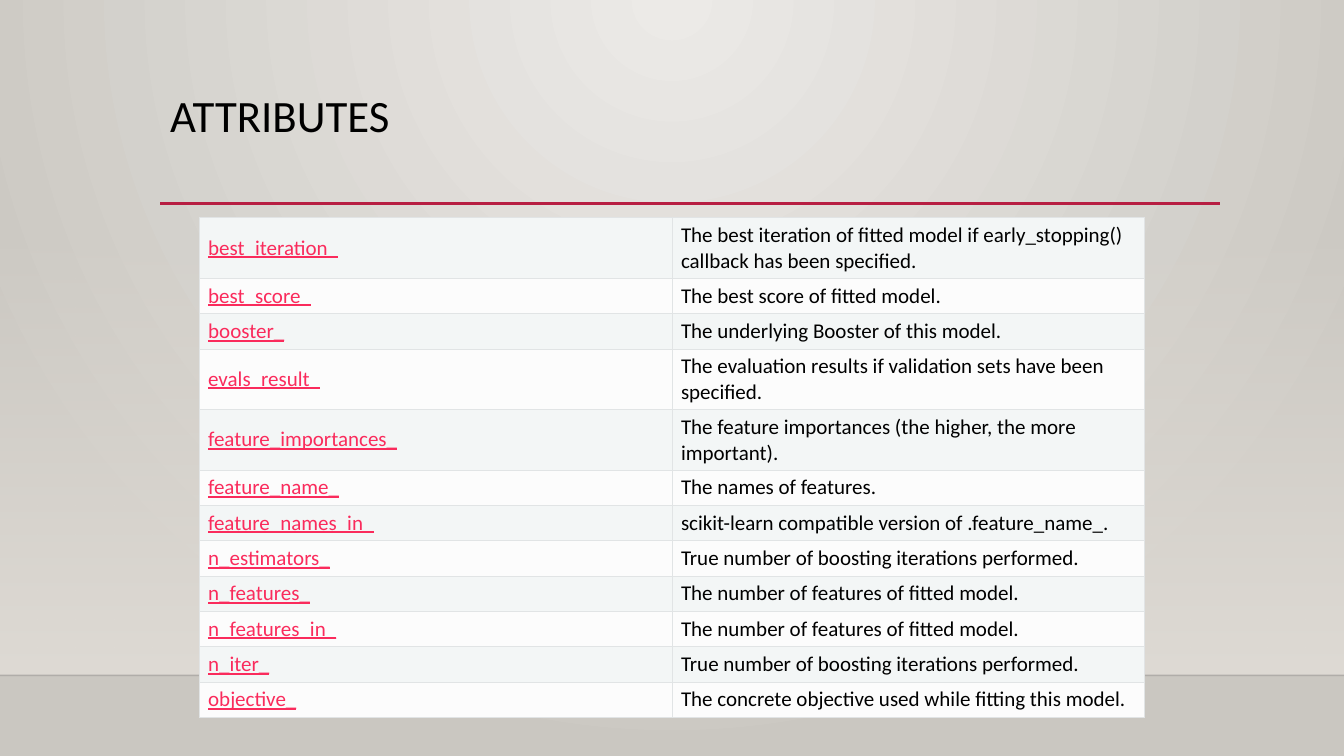
from lxml.etree import SubElement
from pptx import Presentation
from pptx.dml.color import RGBColor
from pptx.enum.shapes import MSO_CONNECTOR, MSO_SHAPE
from pptx.enum.text import MSO_ANCHOR
from pptx.oxml import parse_xml
from pptx.oxml.ns import nsdecls, qn
from pptx.util import Inches, Pt

TITLE = "ATTRIBUTES"
ATTRIBUTES = [
    ("best_iteration_", "The best iteration of fitted model if early_stopping() callback has been specified."),
    ("best_score_", "The best score of fitted model."),
    ("booster_", "The underlying Booster of this model."),
    ("evals_result_", "The evaluation results if validation sets have been specified."),
    ("feature_importances_", "The feature importances (the higher, the more important)."),
    ("feature_name_", "The names of features."),
    ("feature_names_in_", "scikit-learn compatible version of .feature_name_."),
    ("n_estimators_", "True number of boosting iterations performed."),
    ("n_features_", "The number of features of fitted model."),
    ("n_features_in_", "The number of features of fitted model."),
    ("n_iter_", "True number of boosting iterations performed."),
    ("objective_", "The concrete objective used while fitting this model."),
]
COLORS = {
    "glow": "ECEAE7", "edge": "CAC7C1", "wall": "DFDBD5", "floor line": "000001",
    "accent": "B71E42", "link": "FA2B5C", "text": "000000",
    "odd row": "F3F6F6", "even row": "FCFCFC", "border": "E1E4E5",
}
FONT = "Calibri"
WIDTH, HEIGHT = 13.33, 7.5
WALL_TOP, FLOOR = 2.21, 6.7
MARGIN, TITLE_TOP, TITLE_WIDTH, TITLE_HEIGHT = 1.59, 0.88, 10.5, 1.15
RULE_Y, RULE_END = 2.02, 12.1
TABLE_TOP, COLUMN_WIDTH = 2.16, 4.69
LINE_ROW, TWO_LINE_ROW, CHARS_PER_LINE = 0.34, 0.58, 55


def rgb(name):
    return RGBColor.from_string(COLORS[name])


def set_gradient(properties, stops, direction):
    """Replace the solid fill by a gradient of (position, colour, opacity) stops, in percent."""
    stop_xml = "".join(
        f'<a:gs pos="{position * 1000}"><a:srgbClr val="{COLORS[color]}">'
        f'<a:alpha val="{opacity * 1000}"/></a:srgbClr></a:gs>'
        for position, color, opacity in stops)
    gradient = parse_xml(f'<a:gradFill {nsdecls("a")} rotWithShape="1">'
                         f'<a:gsLst>{stop_xml}</a:gsLst>{direction}</a:gradFill>')
    properties.replace(properties.find(qn("a:solidFill")), gradient)


def add_rule(slide, left, right, y, color, width):
    rule = slide.shapes.add_connector(
        MSO_CONNECTOR.STRAIGHT, Inches(left), Inches(y), Inches(right), Inches(y))
    rule.line.color.rgb = rgb(color)
    rule.line.width = Pt(width)
    SubElement(rule._element.spPr, qn("a:effectLst"))
    return rule


def add_text(paragraph, text, size, color, underline=False):
    run = paragraph.add_run()
    run.text = text
    run.font.name = FONT
    run.font.size = Pt(size)
    run.font.color.rgb = rgb(color)
    run.font.underline = underline


def set_borders(cell):
    properties = cell._tc.get_or_add_tcPr()
    for index, side in enumerate(("lnL", "lnR", "lnT", "lnB")):
        properties.insert(index, parse_xml(
            f'<a:{side} {nsdecls("a")} w="{Pt(0.5)}"><a:solidFill>'
            f'<a:srgbClr val="{COLORS["border"]}"/></a:solidFill></a:{side}>'))


def add_backdrop(slide):
    slide.background.fill.solid()
    set_gradient(next(slide.element.iter(qn("p:bgPr"))),
                 [(0, "glow", 100), (100, "edge", 100)],
                 '<a:path path="circle"><a:fillToRect l="43000" t="0" r="43000" b="100000"/></a:path>')
    wall = slide.shapes.add_shape(MSO_SHAPE.RECTANGLE, 0, Inches(WALL_TOP),
                                  Inches(WIDTH), Inches(FLOOR - WALL_TOP))
    wall.shadow.inherit = False
    wall.line.fill.background()
    wall.fill.solid()
    set_gradient(wall._element.spPr, [(0, "wall", 0), (100, "wall", 100)],
                 '<a:lin ang="5400000" scaled="0"/>')
    floor_line = add_rule(slide, 0, WIDTH, FLOOR, "floor line", 1)
    SubElement(next(floor_line._element.spPr.iter(qn("a:srgbClr"))), qn("a:alpha"), val="20000")


def add_title(slide):
    add_rule(slide, MARGIN, RULE_END, RULE_Y, "accent", 2.5)
    box = slide.shapes.add_textbox(Inches(MARGIN), Inches(TITLE_TOP),
                                   Inches(TITLE_WIDTH), Inches(TITLE_HEIGHT))
    box.text_frame.word_wrap = True
    paragraph = box.text_frame.paragraphs[0]
    paragraph.line_spacing = 0.9
    add_text(paragraph, TITLE, 32, "text")


def add_attribute_table(slide):
    heights = [TWO_LINE_ROW if len(description) > CHARS_PER_LINE else LINE_ROW
               for _, description in ATTRIBUTES]
    table_width = 2 * COLUMN_WIDTH
    table = slide.shapes.add_table(
        len(ATTRIBUTES), 2, Inches((WIDTH - table_width) / 2), Inches(TABLE_TOP),
        Inches(table_width), Inches(sum(heights))).table
    table.first_row = table.horz_banding = False
    for column in table.columns:
        column.width = Inches(COLUMN_WIDTH)
    for index, (texts, height) in enumerate(zip(ATTRIBUTES, heights)):
        table.rows[index].height = Inches(height)
        for column, text in enumerate(texts):
            cell = table.cell(index, column)
            cell.vertical_anchor = MSO_ANCHOR.MIDDLE
            cell.margin_left = cell.margin_right = Inches(0.09)
            cell.margin_top = cell.margin_bottom = Inches(0.05)
            cell.fill.solid()
            cell.fill.fore_color.rgb = rgb("even row" if index % 2 else "odd row")
            set_borders(cell)
            is_name = column == 0
            add_text(cell.text_frame.paragraphs[0], text, 15,
                     "link" if is_name else "text", underline=is_name)


def main():
    presentation = Presentation()
    presentation.slide_width = Inches(WIDTH)
    presentation.slide_height = Inches(HEIGHT)
    slide = presentation.slides.add_slide(presentation.slide_layouts[6])
    add_backdrop(slide)
    add_title(slide)
    add_attribute_table(slide)
    presentation.save("out.pptx")


if __name__ == "__main__":
    main()
